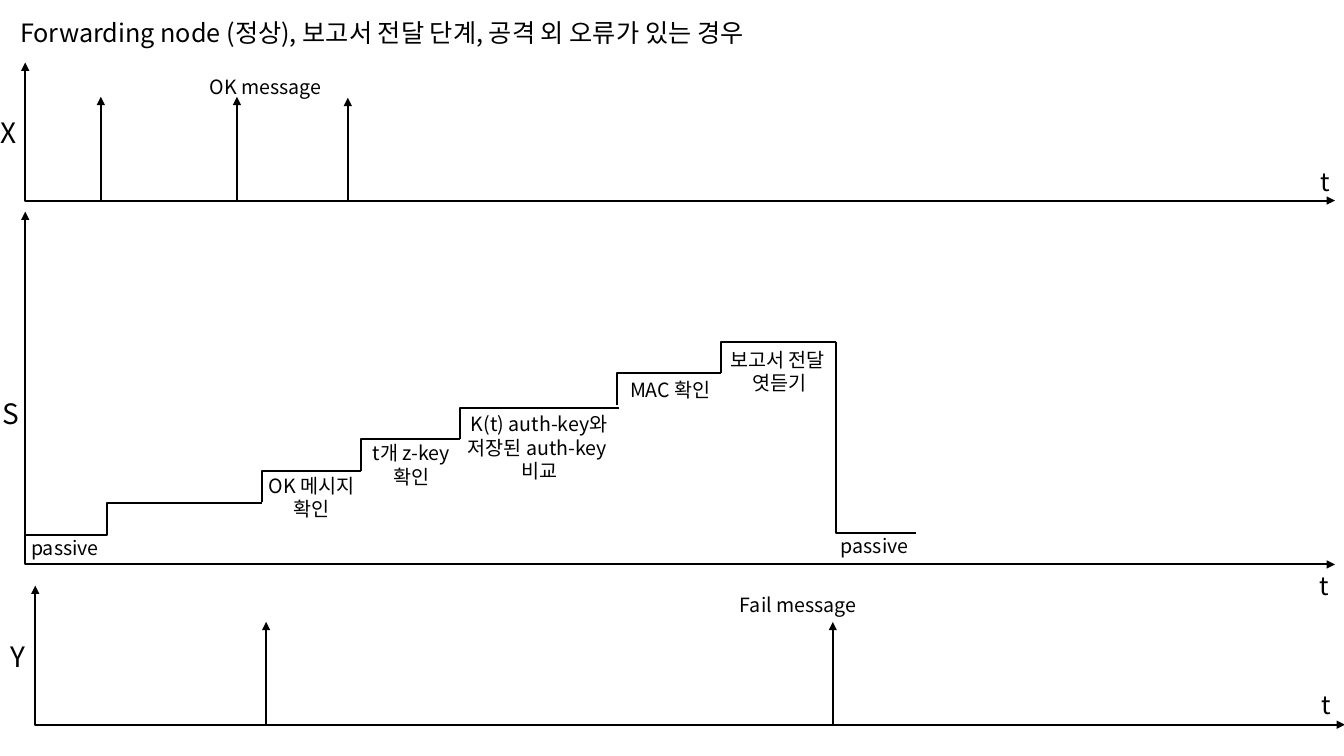
import pptx
import pptx.dml.color
import pptx.enum.shapes
import pptx.enum.text
import pptx.oxml
import pptx.oxml.ns
import pptx.util
from pptx.util import Inches

ALIGN = pptx.enum.text.PP_ALIGN
CONNECTOR = pptx.enum.shapes.MSO_CONNECTOR


def color(hex_string):
    return pptx.dml.color.RGBColor.from_string(hex_string)


def add_element(parent, tag, **attributes):
    element = pptx.oxml.parse_xml(f"<a:{tag} {pptx.oxml.ns.nsdecls('a')}/>")
    for name, value in attributes.items():
        element.set(name, value)
    parent.append(element)


class TimingDiagram:
    FONT = "Noto Sans CJK KR"
    INK = "000000"
    LINE_WIDTH = 1.5

    def __init__(self, presentation):
        self.slide = presentation.slides.add_slide(presentation.slide_layouts[5])

    def fill_text(self, shape, text, size, align):
        frame = shape.text_frame
        frame.text = text
        frame_format = {
            "word_wrap": True,
            "auto_size": pptx.enum.text.MSO_AUTO_SIZE.NONE,
            "vertical_anchor": pptx.enum.text.MSO_ANCHOR.TOP,
        }
        for name, value in frame_format.items():
            setattr(frame, name, value)
        font_format = {"size": pptx.util.Pt(size), "name": self.FONT, "bold": False}
        for paragraph in frame.paragraphs:
            paragraph.alignment = align
            for run in paragraph.runs:
                for name, value in font_format.items():
                    setattr(run.font, name, value)
                run.font.color.rgb = color(self.INK)
                add_element(run._r.get_or_add_rPr(), "ea", typeface=self.FONT)

    def title(self, text, left, top, width, height, size=18):
        shape = self.slide.shapes.title
        place = {"left": left, "top": top, "width": width, "height": height}
        for name, value in place.items():
            setattr(shape, name, Inches(value))
        self.fill_text(shape, text, size, ALIGN.LEFT)

    def label(self, text, left, top, width, height, size=14, align=ALIGN.LEFT):
        box = self.slide.shapes.add_textbox(
            Inches(left), Inches(top), Inches(width), Inches(height))
        self.fill_text(box, text, size, align)

    def connector(self, start, end, kind=CONNECTOR.STRAIGHT, head=False, tail=False):
        line = self.slide.shapes.add_connector(
            kind, *(Inches(value) for value in (*start, *end)))
        line.line.width = pptx.util.Pt(self.LINE_WIDTH)
        line.line.color.rgb = color(self.INK)
        outline = line.line._get_or_add_ln()
        for tag, shown in (("headEnd", head), ("tailEnd", tail)):
            if shown:
                add_element(outline, tag, type="triangle")
        add_element(line._element.spPr, "effectLst")
        return line

    def bend(self, start, end, ratio=0, arrows=False):
        """Elbow whose vertical part lies at a ratio of the width."""
        line = self.connector(start, end, CONNECTOR.ELBOW, arrows, arrows)
        adjustments = line._element.spPr.prstGeom.get_or_add_avLst()
        add_element(adjustments, "gd", name="adj1", fmla=f"val {round(ratio * 100000)}")

    def event(self, x, base, length=1.02):
        self.connector((x, base), (x, base - length), tail=True)


def main():
    presentation = pptx.Presentation()
    presentation.slide_width = Inches(13.33)
    presentation.slide_height = Inches(7.5)
    diagram = TimingDiagram(presentation)

    diagram.title("Forwarding node (정상), 보고서 전달 단계, 공격 외 오류가 있는 경우",
                  0.1, 0.12, 8.14, 0.4)

    # Axes: name and its place, origin and top, time label place
    axes = [
        ("X", (-0.09, 1.1), (0.25, 0.62), 1.99, (13, 1.6)),
        ("S", (-0.07, 3.88), (0.25, 2.1), 5.6, (12.99, 5.61)),
        ("Y", (0.01, 6.3), (0.35, 5.81), 7.19, (13.01, 6.79)),
    ]
    for name, name_place, (x, top), base, time_place in axes:
        diagram.bend((x, top), (x + 12.99, base), arrows=True)
        diagram.label(name, *name_place, 0.45, 0.44, size=20)
        diagram.label("t", *time_place, 0.45, 0.4, size=18)

    # Input and output events
    for x, base in [(1, 1.98), (2.35, 1.98), (3.45, 1.99), (2.64, 7.19), (8.26, 7.19)]:
        diagram.event(x, base)
    diagram.label("OK message", 1.98, 0.69, 1.57, 0.34)
    diagram.label("Fail message", 7.24, 5.83, 2.08, 0.34)

    # State staircase, ending with the drop back to passive
    diagram.bend((0.24, 5.31), (2.6, 4.99), ratio=0.35)
    steps = [
        ((2.6, 4.98), (3.58, 4.67)),
        ((3.58, 4.67), (4.56, 4.36)),
        ((4.56, 4.36), (6.14, 4.05)),
        ((6.12, 4.02), (7.15, 3.7)),
        ((7.15, 3.7), (8.29, 3.39)),
        ((8.29, 3.39), (9.09, 5.29)),
    ]
    for start, end in steps:
        diagram.bend(start, end)

    # State names
    for left, top in [(0.21, 5.27), (8.24, 5.25)]:
        diagram.label("passive", left, top, 1.25, 0.34)
    diagram.label("MAC 확인", 6.15, 3.7, 1.09, 0.34)
    states = [
        ("OK 메시지\n확인", 2.25, 4.65, 1.68, 0.57),
        ("t개 z-key\n확인", 3.24, 4.33, 1.68, 0.57),
        ("K(t) auth-key와\n저장된 auth-key \n비교", 3.87, 4.04, 2.96, 0.81),
        ("보고서 전달 \n엿듣기", 7.11, 3.4, 1.25, 0.57),
    ]
    for state in states:
        diagram.label(*state, align=ALIGN.CENTER)

    presentation.save("out.pptx")


if __name__ == "__main__":
    main()
